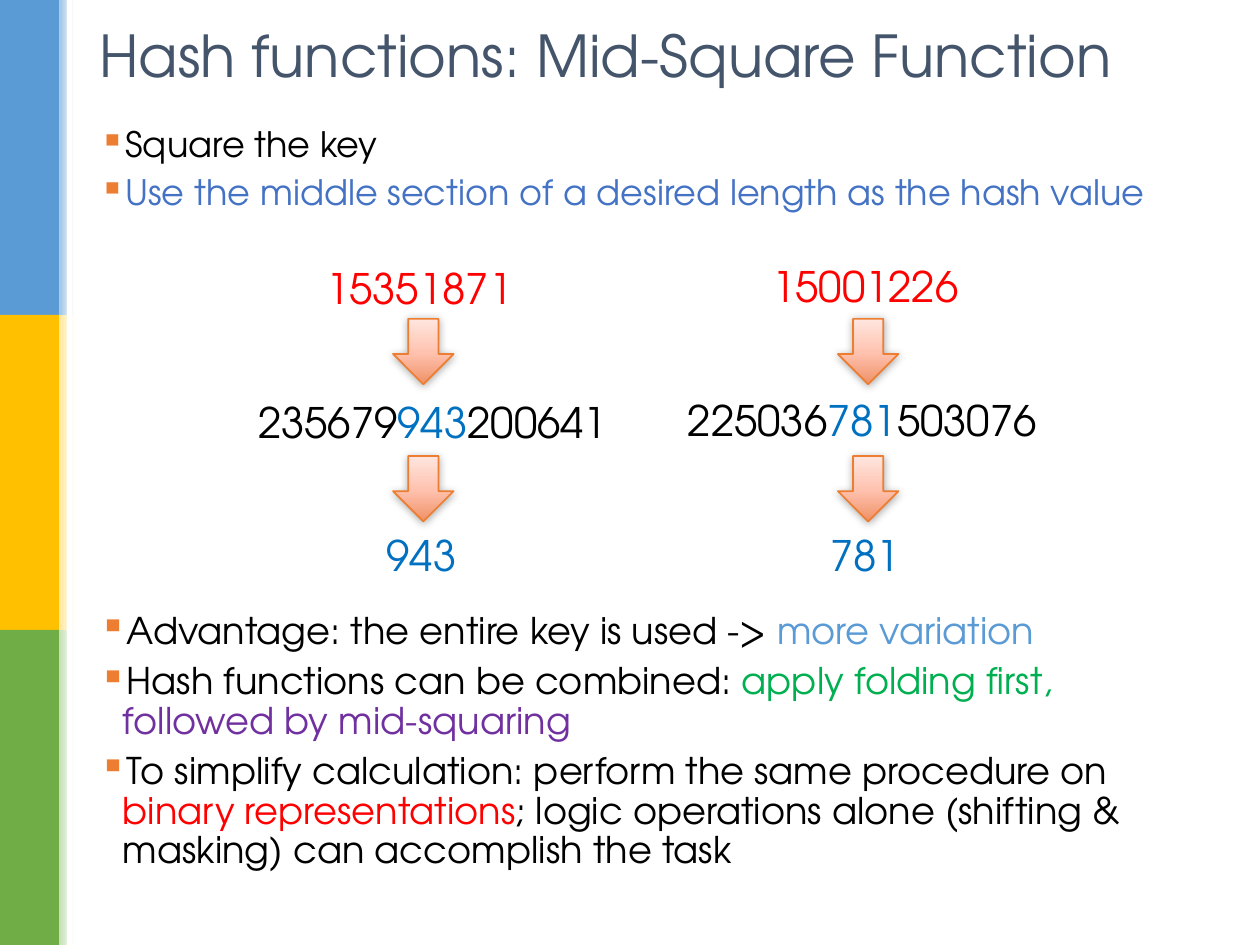
from lxml import etree
from pptx import Presentation
from pptx import util as u
from pptx.dml.color import RGBColor
from pptx.enum import shapes, text
from pptx.oxml import ns

Pt = u.Pt
BLACK = RGBColor(0x00, 0x00, 0x00)
WHITE = RGBColor(0xFF, 0xFF, 0xFF)
RED = RGBColor(0xFF, 0x00, 0x00)
BLUE = RGBColor(0x00, 0x70, 0xC0)
ROYAL = RGBColor(0x44, 0x72, 0xC4)
SKY = RGBColor(0x5B, 0x9B, 0xD5)
GREEN = RGBColor(0x00, 0xB0, 0x50)
PLUM = RGBColor(0x70, 0x30, 0xA0)
SLATE = RGBColor(0x44, 0x54, 0x6A)
RUST = RGBColor(0xED, 0x7D, 0x31)
GOLD = RGBColor(0xFF, 0xC0, 0x00)
LEAF = RGBColor(0x70, 0xAD, 0x47)
PALE = [RGBColor(0x9D, 0xC3, 0xE6), RGBColor(0xFF, 0xE6, 0x99), RGBColor(0xC5, 0xE0, 0xB4)]
PEACH = [(0, RGBColor(0xEF, 0x91, 0x66)), (48, RGBColor(0xFF, 0xC2, 0xAF)),
         (100, RGBColor(0xFF, 0xE6, 0xDF))]

deck = Presentation()
deck.slide_width, deck.slide_height = Pt(720), Pt(540)
slide = deck.slides.add_slide(deck.slide_layouts[6])


def draw(kind, spot, stops, turn=0):
    form = slide.shapes.add_shape(kind, *map(Pt, spot))
    form.shadow.inherit = False
    form.line.fill.background()
    if len(stops) == 1:
        form.fill.solid()
        form.fill.fore_color.rgb = stops[0][1]
        return form
    form.fill.gradient()
    form.fill.gradient_angle = turn
    ramp = form.element.spPr.find(".//" + ns.qn("a:gsLst"))
    for old in list(ramp):
        ramp.remove(old)
    for place, tint in stops:
        stop = etree.SubElement(ramp, ns.qn("a:gs"), pos=str(place * 1000))
        etree.SubElement(stop, ns.qn("a:srgbClr"), val=str(tint))
    return form


def write(spot, paras, size, mark=False, frame=None, para=None):
    box = slide.shapes.add_textbox(*map(Pt, spot)).text_frame
    for key, val in {"word_wrap": True, **(frame or {})}.items():
        setattr(box, key, val)
    for num, runs in enumerate(paras):
        line = box.add_paragraph() if num else box.paragraphs[0]
        for key, val in (para or {}).items():
            setattr(line, key, val)
        if num:
            line.space_before = Pt(6)
        if mark:
            prop = line._p.get_or_add_pPr()
            prop.set("marL", str(Pt(13.5)))
            prop.set("indent", str(-Pt(13.5)))
            tint = etree.SubElement(prop, ns.qn("a:buClr"))
            etree.SubElement(tint, ns.qn("a:srgbClr"), val=str(RUST))
            etree.SubElement(prop, ns.qn("a:buChar"), char="▪")
        for words, tint in runs:
            run = line.add_run()
            run.text = words
            for key, val in {"name": "TeX Gyre Adventor", "size": Pt(size)}.items():
                setattr(run.font, key, val)
            run.font.color.rgb = tint


RECT = shapes.MSO_SHAPE.RECTANGLE
for row, (tint, pale) in enumerate(zip([SKY, GOLD, LEAF], PALE)):
    draw(RECT, (0, row * 180, 34, 180), [(0, tint)])
    draw(RECT, (34, row * 180, 8.5, 180), [(0, pale), (100, WHITE)])
draw(RECT, (38.2, 0, 2.9, 540), [(0, WHITE)])

tight = {"line_spacing": 0.9}
write((49.7, 10, 620.6, 47.5), [[("Hash functions: Mid-Square Function", SLATE)]], 33,
      frame={"vertical_anchor": text.MSO_ANCHOR.MIDDLE}, para=tight)
write((49.7, 69.1, 638.6, 62), [
    [("Square the key", BLACK)],
    [("Use the middle section of a desired length as the hash value", ROYAL)],
], 20, mark=True, para=tight)
write((49.7, 346.5, 638.6, 180), [
    [("Advantage: the entire key is used -> ", BLACK), ("more variation", SKY)],
    [("Hash functions can be combined: ", BLACK), ("apply folding first, ", GREEN),
     ("followed by mid-squaring", PLUM)],
    [("To simplify calculation: perform the same procedure on ", BLACK),
     ("binary representations", RED),
     ("; logic operations alone (shifting & masking) can accomplish the task", BLACK)],
], 21, mark=True, para=tight)

chains = [
    (224.6, (179.3, 149.8), (140.4, 226.1, 216.7), 213.8, "15351871", "235679", "943", "200641"),
    (478.8, (434.2, 148.3), (385.9, 225.4, 253.4), 467.3, "15001226", "225036", "781", "503076"),
]
for left, top, wide, low, key, head, mid, tail in chains:
    write((*top, 124.6, 41.8), [[(key, RED)]], 24, para=tight)
    write((*wide, 41.8), [[(head, BLACK), (mid, BLUE), (tail, BLACK)]], 24, para=tight)
    write((low, 302.4, 56.2, 41.8), [[(mid, BLUE)]], 24, para=tight)
    for y in (182.2, 260.6):
        arrow = draw(shapes.MSO_SHAPE.DOWN_ARROW, (left, y, 34.6, 37.4), PEACH, 90)
        arrow.line.color.rgb = RUST
        arrow.line.width = Pt(1)
        glow = arrow.element.spPr.find(ns.qn("a:effectLst"))
        shade = etree.SubElement(glow, ns.qn("a:outerShdw"), blurRad=str(Pt(5)),
                                 dist=str(Pt(1)), dir="5400000", rotWithShape="0")
        tint = etree.SubElement(shade, ns.qn("a:srgbClr"), val=str(BLACK))
        etree.SubElement(tint, ns.qn("a:alpha"), val="32000")

deck.save("out.pptx")
